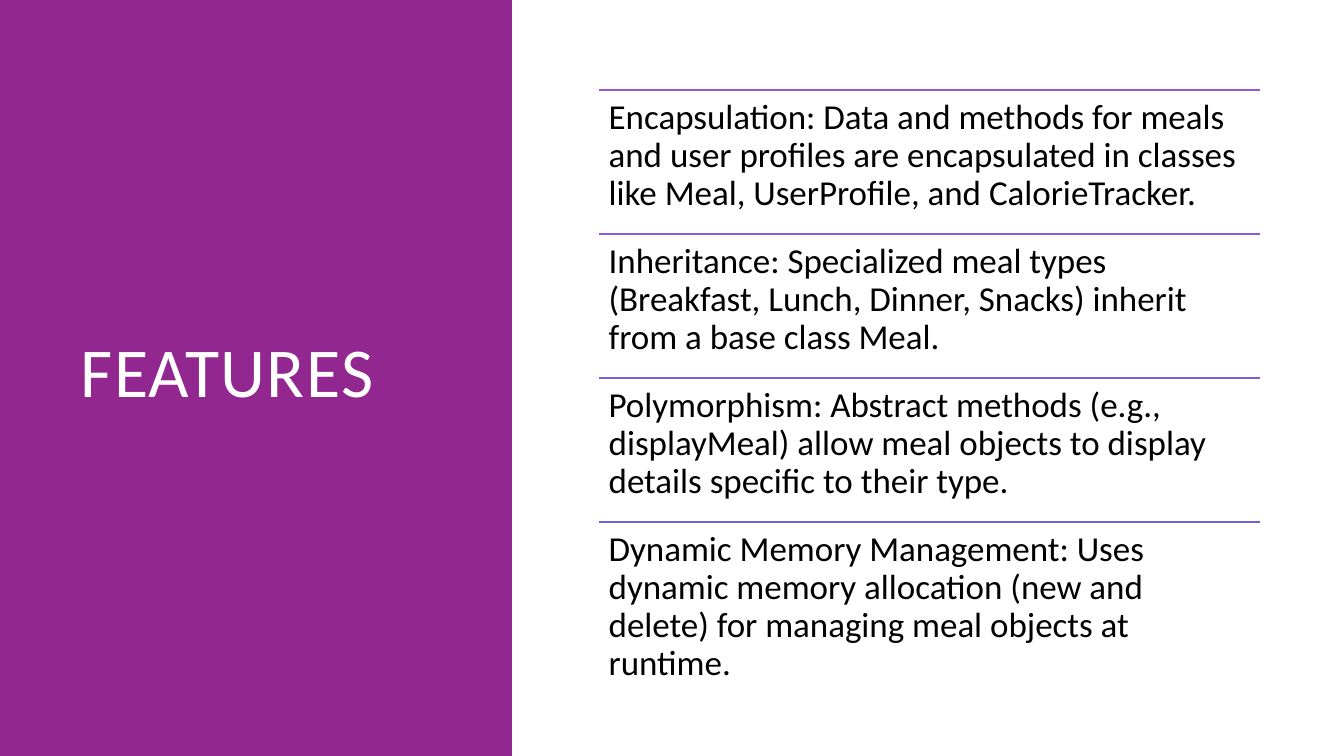
from lxml.etree import SubElement
from pptx import Presentation
from pptx.dml.color import RGBColor
from pptx.enum.shapes import MSO_CONNECTOR, MSO_SHAPE
from pptx.enum.text import MSO_ANCHOR
from pptx.oxml.ns import qn
from pptx.util import Cm, Pt

FONT = "Calibri"
FEATURES = [
    ("Encapsulation: Data and methods for meals and user profiles are "
     "encapsulated in classes like Meal, UserProfile, and CalorieTracker.", "9B57D3"),
    ("Inheritance: Specialized meal types (Breakfast, Lunch, Dinner, Snacks) "
     "inherit from a base class Meal.", "8E59D5"),
    ("Polymorphism: Abstract methods (e.g., displayMeal) allow meal objects "
     "to display details specific to their type.", "825BD7"),
    ("Dynamic Memory Management: Uses dynamic memory allocation (new and "
     "delete) for managing meal objects at runtime.", "755DD9"),
]
LIST_LEFT, LIST_TOP = 15.09, 2.26
LIST_WIDTH, ROW_HEIGHT = 16.66, 3.63


def color(hex_code):
    """Return the colour for a hex string."""
    return RGBColor.from_string(hex_code)


def add_panel(slide, width, height, fill):
    """Draw the plain panel along the left edge."""
    panel = slide.shapes.add_shape(MSO_SHAPE.RECTANGLE, 0, 0, width, height)
    panel.shadow.inherit = False
    panel.fill.solid()
    panel.fill.fore_color.rgb = color(fill)
    panel.line.fill.background()


def add_text(slide, words, left, top, width, height, size, ink, spacing, anchor):
    """Place one wrapped paragraph and return its run."""
    frame = slide.shapes.add_textbox(Cm(left), Cm(top), Cm(width), Cm(height)).text_frame
    frame.word_wrap = True
    frame.vertical_anchor = anchor
    frame.margin_left = frame.margin_right = Cm(0.25)
    frame.margin_top = frame.margin_bottom = Cm(0.25)
    paragraph = frame.paragraphs[0]
    paragraph.line_spacing = spacing
    run = paragraph.add_run()
    run.text = words
    run.font.name = FONT
    run.font.size = Pt(size)
    run.font.color.rgb = color(ink)
    return run


def add_rule(slide, left, top, width, ink):
    """Draw the horizontal rule above a feature."""
    rule = slide.shapes.add_connector(
        MSO_CONNECTOR.STRAIGHT, Cm(left), Cm(top), Cm(left + width), Cm(top))
    rule.line.color.rgb = color(ink)
    rule.line.width = Pt(1.25)
    SubElement(rule.element.spPr, qn("a:effectLst"))


def main():
    """Build and save the features slide."""
    deck = Presentation()
    deck.slide_width, deck.slide_height = Cm(33.87), Cm(19.05)
    slide = deck.slides.add_slide(deck.slide_layouts[6])

    add_panel(slide, Cm(12.9), deck.slide_height, "92278F")
    heading = add_text(slide, "FEATURES", 1.78, 1.78, 9.5, 15.47,
                       50, "FFFFFF", 0.8, MSO_ANCHOR.MIDDLE)
    heading.font._element.set("spc", "100")

    for row, (feature, rule_color) in enumerate(FEATURES):
        top = LIST_TOP + row * ROW_HEIGHT
        add_rule(slide, LIST_LEFT, top, LIST_WIDTH, rule_color)
        add_text(slide, feature, LIST_LEFT, top, LIST_WIDTH, ROW_HEIGHT,
                 25, "000000", 0.9, MSO_ANCHOR.TOP)

    deck.save("out.pptx")


if __name__ == "__main__":
    main()
